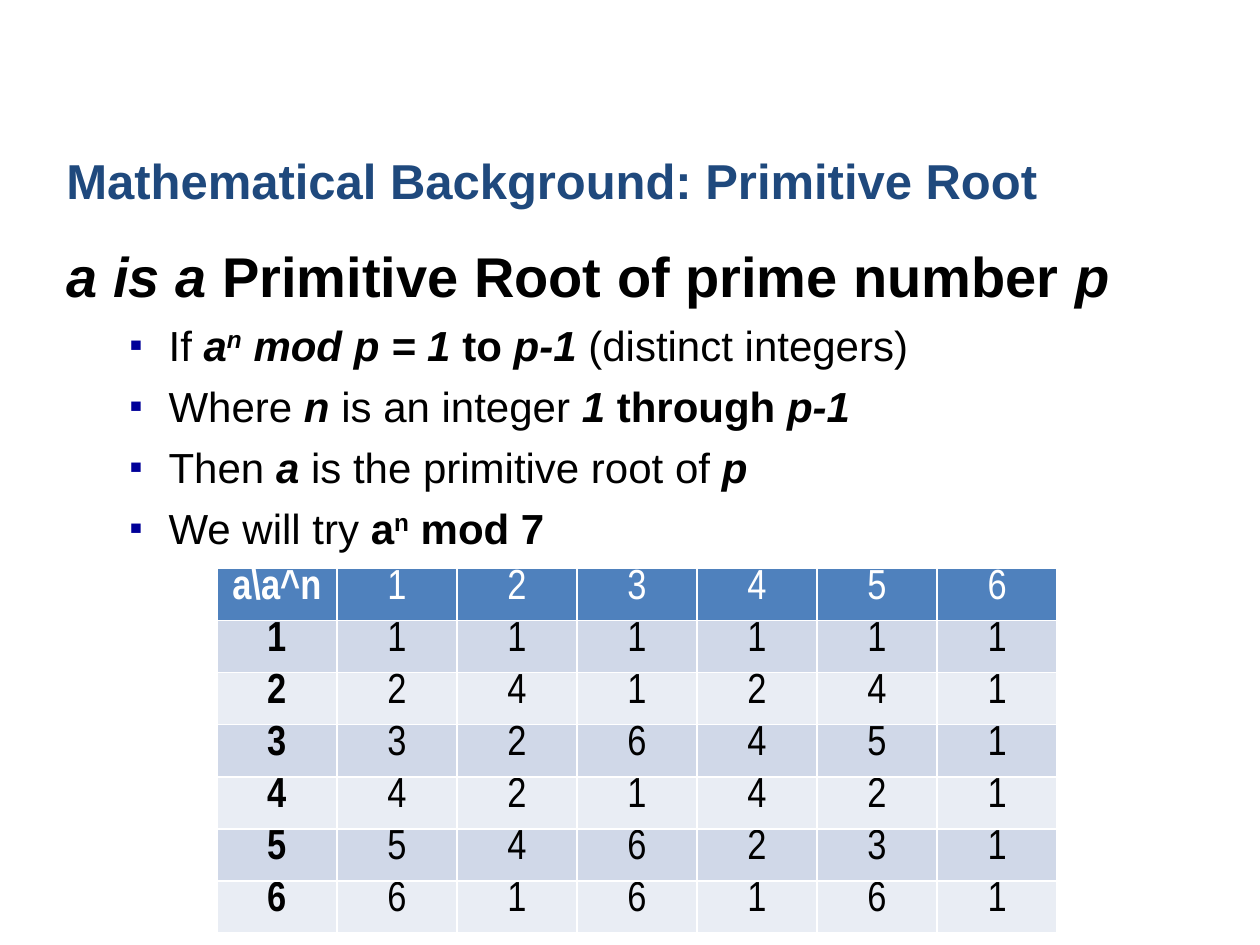
"""Builds a slide on primitive roots with a table of powers modulo 7."""
import pptx
import pptx.dml.color
import pptx.enum.text
import pptx.oxml
import pptx.oxml.ns
import pptx.util

Cm = pptx.util.Cm
Pt = pptx.util.Pt
RGBColor = pptx.dml.color.RGBColor

NAVY = RGBColor(0x1F, 0x49, 0x7D)
BLACK = RGBColor(0, 0, 0)
WHITE = RGBColor(0xFF, 0xFF, 0xFF)
BLUE = RGBColor(0x4F, 0x81, 0xBD)
DARK = RGBColor(0xD0, 0xD8, 0xE8)
LIGHT = RGBColor(0xE9, 0xED, 0xF4)
MARK = RGBColor(0, 0, 0x99)

PRIME = 7
HEAD = [("a is a ", "bi"), ("Primitive Root of prime number ", "b"), ("p", "bi")]
ITEMS = [
    [("If ", ""), ("a", "bi"), ("n", "bi^"), (" mod p = 1 ", "bi"), ("to ", "b"),
     ("p-1 ", "bi"), ("(distinct integers)", "")],
    [("Where ", ""), ("n ", "bi"), ("is an integer ", ""), ("1 ", "bi"),
     ("through ", "b"), ("p-1", "bi")],
    [("Then ", ""), ("a ", "bi"), ("is the primitive root of ", ""), ("p", "bi")],
    [("We will try ", ""), ("a", "b"), ("n", "b^"), (" mod 7", "b")],
]


class Deck:
    """Holds the fonts and the current slide."""

    font = "Arial"
    narrow = "Arial Narrow"

    def __init__(self):
        self.prs = pptx.Presentation()
        self.prs.slide_width, self.prs.slide_height = Cm(25.4), Cm(19.05)
        self.slide = self.prs.slides.add_slide(self.prs.slide_layouts[6])

    def style(self, run, size, color, flags, name):
        """Formats a run; b is bold, i is italic, ^ is superscript."""
        font = run.font
        font.name, font.size = name, Pt(size)
        font.color.rgb = color
        font.bold, font.italic = "b" in flags, "i" in flags
        if "^" in flags:
            run._r.get_or_add_rPr().set("baseline", "30000")

    def box(self, left, top, width, height):
        """Adds a wrapping text box and returns its frame."""
        shape = self.slide.shapes.add_textbox(Cm(left), Cm(top), Cm(width), Cm(height))
        shape.text_frame.word_wrap = True
        return shape.text_frame

    def line(self, para, parts, size, color, before=0):
        """Fills a paragraph with styled runs."""
        para.space_before = Pt(before)
        for text, flags in parts:
            run = para.add_run()
            run.text = text
            self.style(run, size, color, flags, self.font)

    def bullet(self, para):
        """Gives a paragraph a hanging square bullet."""
        props = para._p.get_or_add_pPr()
        props.set("marL", str(Cm(2.06)))
        props.set("indent", str(-Cm(0.79)))
        space = pptx.oxml.ns.nsdecls("a")
        for xml in (
            f'<a:buClr {space}><a:srgbClr val="{MARK}"/></a:buClr>',
            f'<a:buSzPct {space} val="90000"/>',
            f'<a:buFont {space} typeface="{self.font}"/>',
            f'<a:buChar {space} char="▪"/>',
        ):
            props.append(pptx.oxml.parse_xml(xml))

    def cell(self, cell, text, fill, color, flags):
        """Writes one centred, filled table cell."""
        cell.fill.solid()
        cell.fill.fore_color.rgb = fill
        cell.margin_top = cell.margin_bottom = 0
        cell.text_frame.text = text
        para = cell.text_frame.paragraphs[0]
        para.alignment = pptx.enum.text.PP_ALIGN.CENTER
        self.style(para.runs[0], 24, color, flags, self.narrow)

    def table(self, rows, left, top, wide, high):
        """Adds a table with a header row and banded body rows."""
        count = len(rows[0])
        grid = self.slide.shapes.add_table(
            len(rows), count, Cm(left), Cm(top),
            Cm(wide * count), Cm(high * len(rows))).table
        for col in grid.columns:
            col.width = Cm(wide)
        for r, row in enumerate(rows):
            grid.rows[r].height = Cm(high)
            fill = BLUE if r == 0 else DARK if r % 2 else LIGHT
            color = BLACK if r else WHITE
            for c, text in enumerate(row):
                self.cell(grid.cell(r, c), text, fill, color, "" if c else "b")


def main():
    deck = Deck()
    title = deck.box(1.09, 2.54, 23.4, 1.8)
    title.vertical_anchor = pptx.enum.text.MSO_ANCHOR.BOTTOM
    deck.line(title.paragraphs[0],
              [("Mathematical Background: Primitive Root", "b")], 28, NAVY)

    body = deck.box(1.09, 4.75, 23.44, 11.96)
    deck.line(body.paragraphs[0], HEAD, 32, BLACK, 4)
    for parts in ITEMS:
        para = body.add_paragraph()
        deck.line(para, parts, 24, BLACK, 6)
        deck.bullet(para)

    span = range(1, PRIME)
    rows = [["a\\a^n"] + [str(n) for n in span]]
    rows += [[str(a)] + [str(pow(a, n, PRIME)) for n in span] for a in span]
    deck.table(rows, 4.37, 11.46, 2.42, 1.05)
    deck.prs.save("out.pptx")


if __name__ == "__main__":
    main()
